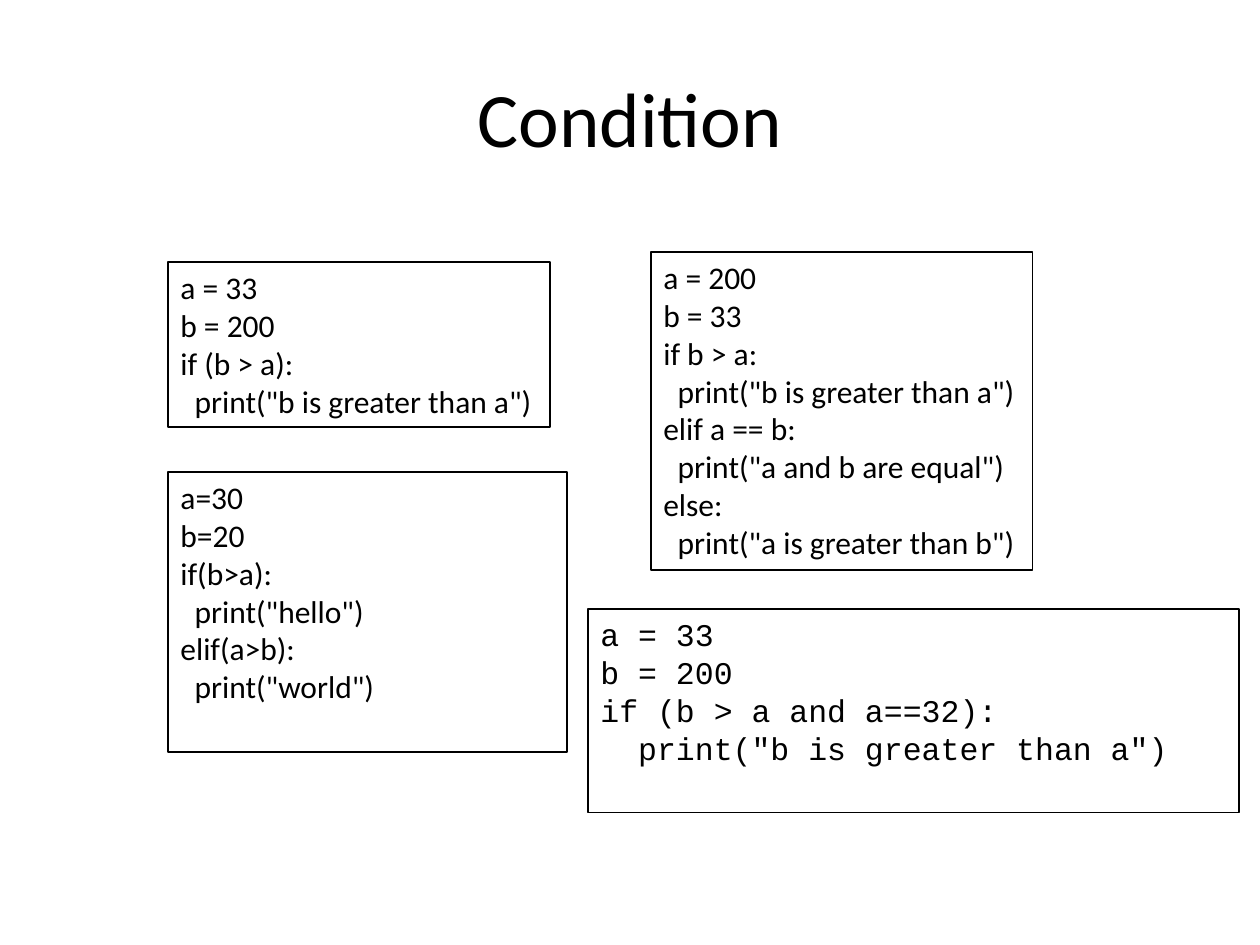
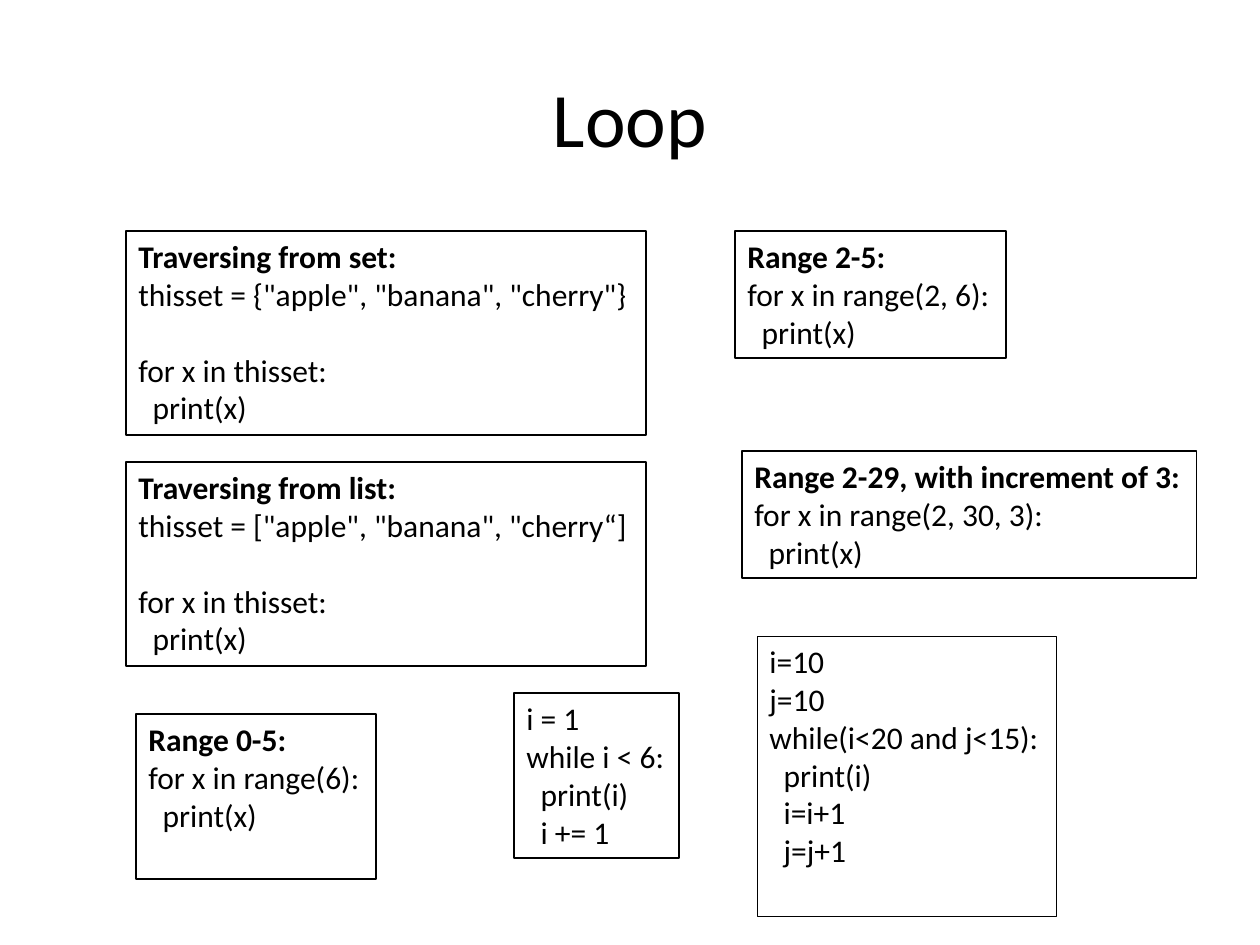
from pptx import Presentation
from pptx.dml.color import RGBColor
from pptx.enum.shapes import MSO_SHAPE as Shape
from pptx.enum.text import MSO_ANCHOR as Anchor, MSO_AUTO_SIZE as AutoSize, PP_ALIGN as Align
from pptx.util import Emu, Pt

PX = 914400 // 126
BLACK = "000000"
TITLE_PLACE = (63, 38, 1134, 158)
TITLE_FORMAT = {"size": Pt(44), "name": "Calibri", "bold": False}
CODE_FORMAT = {"size": Pt(18), "name": "Calibri", "bold": False}
HEADING_FORMAT = CODE_FORMAT | {"bold": True}
MONO_FORMAT = CODE_FORMAT | {"name": "Courier New"}

PAGES = [
    {
        "title": "Condition",
        "blocks": [
            {"place": (168, 262, 382, 165),
             "code": ["a = 33", "b = 200", "if (b > a):",
                      '  print("b is greater than a")']},
            {"place": (168, 472, 399, 280),
             "code": ["a=30", "b=20", "if(b>a):", '  print("hello")',
                      "elif(a>b):", '  print("world")']},
            {"place": (651, 252, 382, 318),
             "code": ["a = 200", "b = 33", "if b > a:",
                      '  print("b is greater than a")', "elif a == b:",
                      '  print("a and b are equal")', "else:",
                      '  print("a is greater than b")']},
            {"place": (588, 609, 651, 204), "format": MONO_FORMAT,
             "code": ["a = 33", "b = 200", "if (b > a and a==32):",
                      '  print("b is greater than a")']},
        ],
    },
    {
        "title": "Loop",
        "blocks": [
            {"place": (126, 231, 520, 204), "heading": "Traversing from set:",
             "code": ['thisset = {"apple", "banana", "cherry"}', "",
                      "for x in thisset:", "  print(x)"]},
            {"place": (126, 462, 520, 204), "heading": "Traversing from list:",
             "code": ['thisset = ["apple", "banana", "cherry“]', "",
                      "for x in thisset:", "  print(x)"]},
            {"place": (136, 714, 240, 165), "heading": "Range 0-5:",
             "code": ["for x in range(6):", "  print(x)"]},
            {"place": (735, 231, 271, 127), "heading": "Range 2-5:",
             "code": ["for x in range(2, 6):", "  print(x)"]},
            {"place": (742, 451, 455, 127),
             "heading": "Range 2-29, with increment of 3:",
             "code": ["for x in range(2, 30, 3):", "  print(x)"]},
            {"place": (514, 693, 165, 165),
             "code": ["i = 1", "while i < 6:", "  print(i)", "  i += 1"]},
            {"place": (757, 636, 299, 280), "line": 0.25,
             "code": ["i=10", "j=10", "while(i<20 and j<15):",
                      "  print(i)", "  i=i+1", "  j=j+1"]},
        ],
    },
]


def color(value):
    return RGBColor.from_string(value)


def emu(place):
    return [Emu(length * PX) for length in place]


def set_all(target, values):
    for name, value in values.items():
        setattr(target, name, value)


def write(para, text, font_format, align):
    para.text = text
    para.alignment = align
    for span in para.runs:
        set_all(span.font, font_format)
        span.font.color.rgb = color(BLACK)


def add_title(page, text):
    title = page.shapes.title
    set_all(title, dict(zip(("left", "top", "width", "height"), emu(TITLE_PLACE))))
    title.text_frame.vertical_anchor = Anchor.MIDDLE
    write(title.text_frame.paragraphs[0], text, TITLE_FORMAT, Align.CENTER)


def add_block(page, block):
    box = page.shapes.add_shape(Shape.RECTANGLE, *emu(block["place"]))
    box.shadow.inherit = False
    box.fill.background()
    box.line.color.rgb = color(BLACK)
    box.line.width = Pt(block.get("line", 0.75))
    frame = box.text_frame
    set_all(frame, {"word_wrap": True, "auto_size": AutoSize.NONE,
                    "vertical_anchor": Anchor.TOP, "margin_right": 0})
    para = frame.paragraphs[0]
    if "heading" in block:
        write(para, block["heading"], HEADING_FORMAT, Align.LEFT)
        para = frame.add_paragraph()
    write(para, "\v".join(block["code"]), block.get("format", CODE_FORMAT), Align.LEFT)


def main():
    deck = Presentation()
    deck.slide_width, deck.slide_height = emu((1260, 945))
    for content in PAGES:
        page = deck.slides.add_slide(deck.slide_layouts[5])
        add_title(page, content["title"])
        for block in content["blocks"]:
            add_block(page, block)
    deck.save("out.pptx")


if __name__ == "__main__":
    main()
